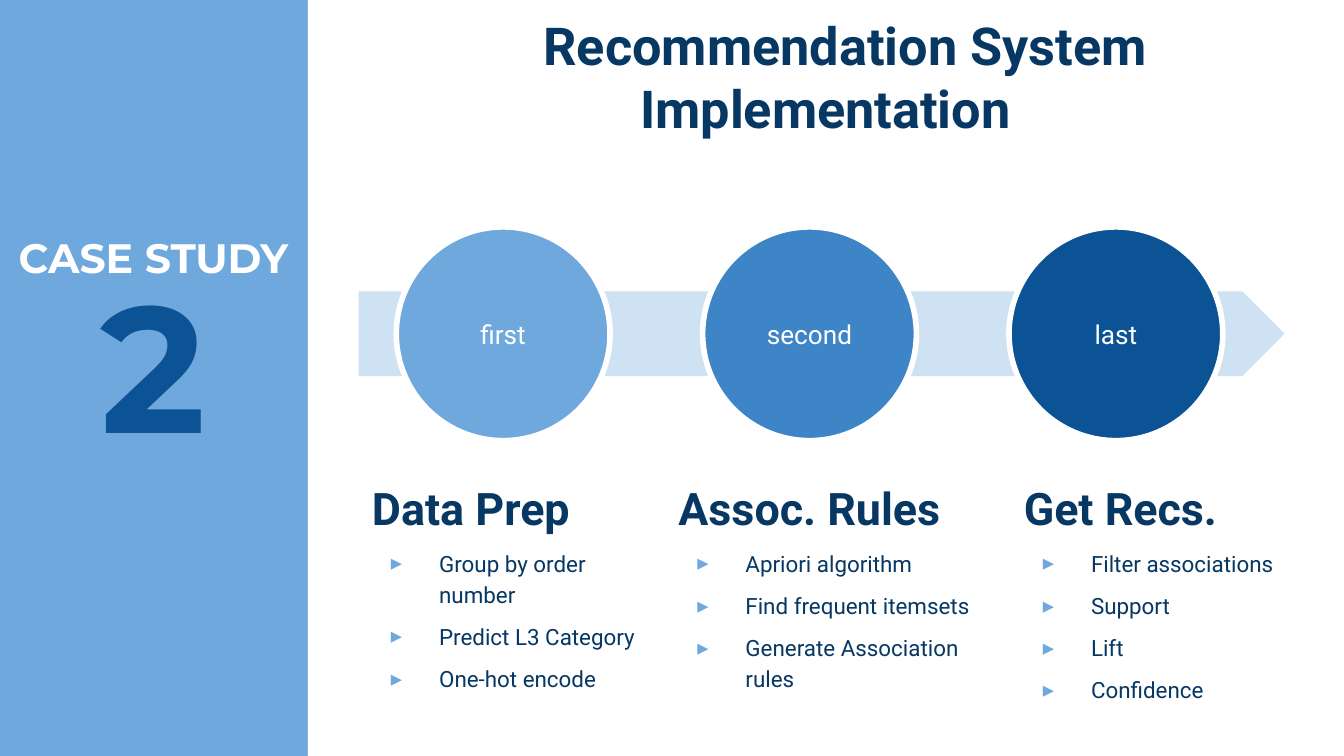
from lxml import etree
from pptx import Presentation
from pptx.dml.color import RGBColor
from pptx.enum.shapes import MSO_SHAPE
from pptx.enum.text import MSO_ANCHOR, PP_ALIGN
from pptx.oxml.ns import qn
from pptx.util import Cm, Pt

RECT, ARROW, OVAL = MSO_SHAPE.RECTANGLE, MSO_SHAPE.PENTAGON, MSO_SHAPE.OVAL
LEFT, CENTER = PP_ALIGN.LEFT, PP_ALIGN.CENTER
TOP, MIDDLE = MSO_ANCHOR.TOP, MSO_ANCHOR.MIDDLE

# Content
TITLE = "Recommendation System Implementation"
LABEL, NUMBER = "CASE STUDY", "2"
# step word, circle colour, column left (cm), heading, bullets
STEPS = [
    ("first", "sky", 6.78, "Data Prep",
     ["Group by order number", "Predict L3 Category", "One-hot encode"]),
    ("second", "blue", 12.57, "Assoc. Rules",
     ["Apriori algorithm", "Find frequent itemsets",
      "Generate Association rules"]),
    ("last", "deep", 19.1, "Get Recs.",
     ["Filter associations", "Support", "Lift", "Confidence"]),
]


class Theme:
    body, display = "Roboto", "Montserrat"
    color = {"sky": "6FA8DC", "blue": "3D85C6", "deep": "0B5394",
             "navy": "073763", "pale": "CFE2F3", "white": "FFFFFF"}
    size = {"title": 28, "number": 96, "label": 22,
            "step": 14, "head": 24, "item": 12}


# Layout in cm
WIDTH, HEIGHT, SIDE = 25.4, 14.29, 5.8
INSET = 0.25
CIRCLE_X, CIRCLE_Y, CIRCLE, PITCH = 7.49, 4.29, 4.04, 5.79
ARROW_X, ARROW_W, ARROW_H = 6.78, 17.5, 1.6
COLUMN_Y, COLUMN_W, COLUMN_H = 8.84, 6.02, 3.63


def rgb(name):
    return RGBColor.from_string(Theme.color[name])


def add_form(slide, kind, x, y, w, h, fill, line=None):
    form = slide.shapes.add_shape(kind, Cm(x), Cm(y), Cm(w), Cm(h))
    form.shadow.inherit = False
    form.fill.solid()
    form.fill.fore_color.rgb = rgb(fill)
    if line:
        form.line.color.rgb = rgb(line)
        form.line.width = Pt(3)
    else:
        form.line.fill.background()
    return form


def set_frame(form, anchor=TOP):
    frame = form.text_frame
    frame.word_wrap = True
    frame.vertical_anchor = anchor
    frame.margin_left = frame.margin_right = Cm(INSET)
    frame.margin_top = frame.margin_bottom = Cm(INSET)
    return frame


def add_box(slide, x, y, w, h):
    return set_frame(slide.shapes.add_textbox(Cm(x), Cm(y), Cm(w), Cm(h)))


def write(para, text, size, color, font=Theme.body, bold=False,
          align=CENTER, before=0):
    para.alignment = align
    para.space_before = Pt(before)
    run = para.add_run()
    run.text = text
    run.font.name = font
    run.font.size = Pt(Theme.size[size])
    run.font.bold = bold
    run.font.color.rgb = rgb(color)


def add_bullet(para):
    para.line_spacing = 1.15
    props = para._p.get_or_add_pPr()
    props.set("marL", str(Cm(1.27)))
    props.set("indent", str(-Cm(0.91)))
    tint = etree.SubElement(props, qn("a:buClr"))
    etree.SubElement(tint, qn("a:srgbClr"), val=Theme.color["sky"])
    etree.SubElement(props, qn("a:buFont"), typeface=Theme.body)
    etree.SubElement(props, qn("a:buChar"), char="▸")


def main():
    deck = Presentation()
    deck.slide_width, deck.slide_height = Cm(WIDTH), Cm(HEIGHT)
    slide = deck.slides.add_slide(deck.slide_layouts[6])

    # Side band is the background, with a white panel beside it
    slide.background.fill.solid()
    slide.background.fill.fore_color.rgb = rgb("sky")
    add_form(slide, RECT, SIDE + 0.02, 0, WIDTH - SIDE - 0.02, HEIGHT, "white")

    # Title, first line nudged right by an indent
    para = add_box(slide, SIDE, 0, WIDTH - SIDE, 1.93).paragraphs[0]
    write(para, TITLE, "title", "navy", bold=True, before=6)
    para._p.get_or_add_pPr().set("indent", str(Cm(0.74)))

    # Case number and label
    frame = add_box(slide, 0, 4.55, SIDE, 3.76)
    write(frame.paragraphs[0], NUMBER, "number", "deep", Theme.display, True)
    frame = add_box(slide, 0, 4.14, SIDE, 2.59)
    write(frame.paragraphs[0], LABEL, "label", "white", Theme.display, True)

    # Arrow centred behind the circles
    arrow_y = CIRCLE_Y + (CIRCLE - ARROW_H) / 2
    add_form(slide, ARROW, ARROW_X, arrow_y, ARROW_W, ARROW_H, "pale")

    # Circles with a column of notes for each
    for i, (step, fill, left, head, items) in enumerate(STEPS):
        disc = add_form(slide, OVAL, CIRCLE_X + i * PITCH, CIRCLE_Y,
                        CIRCLE, CIRCLE, fill, "white")
        write(set_frame(disc, MIDDLE).paragraphs[0], step, "step", "white")

        frame = add_box(slide, left, COLUMN_Y, COLUMN_W, COLUMN_H)
        write(frame.paragraphs[0], head, "head", "navy", bold=True,
              align=LEFT, before=6)
        for item in items:
            para = frame.add_paragraph()
            write(para, item, "item", "navy", align=LEFT, before=6)
            add_bullet(para)

    deck.save("out.pptx")


if __name__ == "__main__":
    main()
